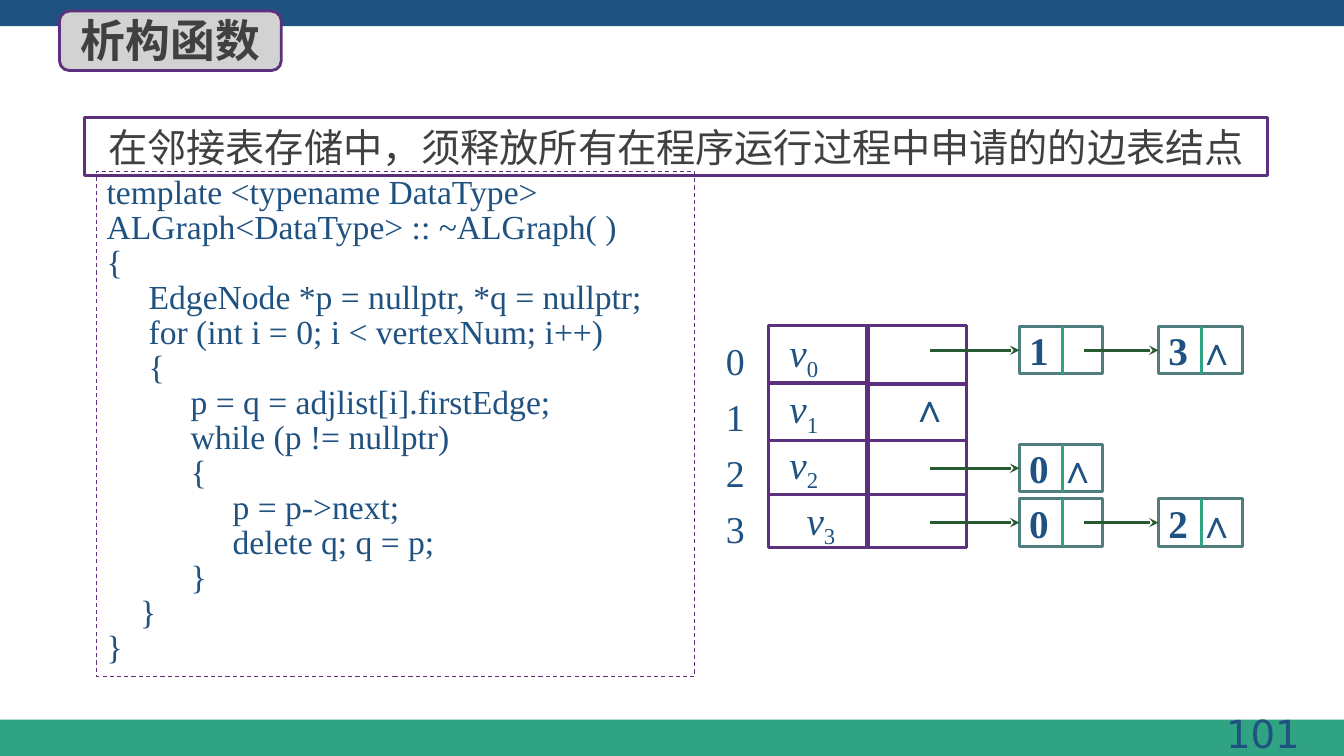
from dataclasses import dataclass

from lxml.etree import SubElement
from pptx import Presentation
from pptx.dml.color import RGBColor
from pptx.enum.dml import MSO_LINE
from pptx.enum.shapes import MSO_CONNECTOR, MSO_SHAPE
from pptx.enum.text import MSO_ANCHOR, MSO_AUTO_SIZE, PP_ALIGN
from pptx.oxml.ns import qn
from pptx.util import Inches, Pt


@dataclass(frozen=True)
class Theme:
    blue: RGBColor = RGBColor.from_string("1F5281")
    green: RGBColor = RGBColor.from_string("30A383")
    purple: RGBColor = RGBColor.from_string("5C307D")
    gray: RGBColor = RGBColor.from_string("D2D2D2")
    dark: RGBColor = RGBColor.from_string("404040")
    teal: RGBColor = RGBColor.from_string("507D7D")
    arrow: RGBColor = RGBColor.from_string("285A32")
    chinese: str = "Noto Sans CJK SC"
    serif: str = "Times New Roman"
    number: str = "DejaVu Sans"
    title_size: float = 32
    body_size: float = 28
    number_size: float = 27.6
    index_size: float = 27
    code_size: float = 24
    rule: float = 2.25


theme = Theme()
presentation = Presentation()
presentation.slide_width = Inches(13.33)
presentation.slide_height = Inches(7.5)
slide = presentation.slides.add_slide(presentation.slide_layouts[5])


def add_box(left, top, width, height, text="", size=theme.body_size, font=theme.serif,
            color=theme.blue, bold=False, align=PP_ALIGN.LEFT, anchor=MSO_ANCHOR.TOP,
            spacing=None, insets=(0.1, 0.05, 0.1, 0.05), fill=None, outline=None,
            outline_width=theme.rule, kind=MSO_SHAPE.RECTANGLE):
    bounds = [Inches(length) for length in (left, top, width, height)]
    if fill or outline:
        box = slide.shapes.add_shape(kind, *bounds)
        box.shadow.inherit = False
    else:
        box = slide.shapes.add_textbox(*bounds)
    if fill:
        box.fill.solid()
        box.fill.fore_color.rgb = fill
    else:
        box.fill.background()
    if outline:
        box.line.color.rgb = outline
        box.line.width = Pt(outline_width)
    else:
        box.line.fill.background()
    if text:
        frame = box.text_frame
        frame.text = text
        frame.word_wrap = True
        frame.vertical_anchor = anchor
        frame.margin_left, frame.margin_top, frame.margin_right, frame.margin_bottom = map(Inches, insets)
        for paragraph in frame.paragraphs:
            paragraph.alignment = align
            paragraph.line_spacing = spacing
            for run in paragraph.runs:
                run.font.size = Pt(size)
                run.font.name = font
                run.font.bold = bold
                run.font.color.rgb = color
    return box


def add_line(start_x, start_y, end_x, end_y, color, arrow=False):
    line = slide.shapes.add_connector(
        MSO_CONNECTOR.STRAIGHT, Inches(start_x), Inches(start_y), Inches(end_x), Inches(end_y))
    line.line.color.rgb = color
    line.line.width = Pt(theme.rule)
    properties = line.element.spPr
    if arrow:
        SubElement(properties.find(qn("a:ln")), qn("a:tailEnd"), type="stealth")
    SubElement(properties, qn("a:effectLst"))
    return line


add_box(0, 7.14, 13.33, 0.36, fill=theme.green)
add_box(0, 0, 13.33, 0.26, fill=theme.blue)
add_box(10.05, 6.99, 2.94, 0.57, "101", size=theme.number_size, font=theme.number,
        align=PP_ALIGN.RIGHT)

title_badge = add_box(0.59, 0.11, 2.2, 0.59, fill=theme.gray, outline=theme.purple,
                      outline_width=2, kind=MSO_SHAPE.ROUNDED_RECTANGLE)
title = slide.shapes.title
title_badge.element.addnext(title.element)
title.left, title.top, title.width, title.height = map(Inches, (0.7, 0.07, 2.29, 0.64))
title.text_frame.text = "析构函数"
title.text_frame.auto_size = MSO_AUTO_SIZE.NONE
title.text_frame.vertical_anchor = MSO_ANCHOR.MIDDLE
title_paragraph = title.text_frame.paragraphs[0]
title_paragraph.alignment = PP_ALIGN.LEFT
title_font = title_paragraph.runs[0].font
title_font.size = Pt(theme.title_size)
title_font.name = theme.chinese
title_font.bold = True
title_font.color.rgb = theme.dark

add_box(0.84, 1.17, 11.73, 0.57, "在邻接表存储中，须释放所有在程序运行过程中申请的的边表结点",
        font=theme.chinese, color=theme.dark, align=PP_ALIGN.CENTER,
        anchor=MSO_ANCHOR.MIDDLE, outline=theme.purple)

add_box(7.2, 3.25, 0.43, 1.96, "0\n1\n2\n3", size=theme.index_size, spacing=Pt(40),
        insets=(0, 0, 0, 0))
vertex_column = add_box(7.62, 3.23, 0.98, 2.2, "v\nv\nv\nv", spacing=Pt(40),
                        insets=(0.21, 0, 0, 0), outline=theme.purple)
for number, paragraph in enumerate(vertex_column.text_frame.paragraphs):
    paragraph.runs[0].font.italic = True
    subscript = paragraph.add_run()
    subscript.text = str(number)
    subscript.font.size = Pt(theme.body_size)
    subscript.font.name = theme.serif
    subscript.font.color.rgb = theme.blue
for paragraph_element in vertex_column.element.iter(qn("a:p")):
    paragraph_element.findall(qn("a:r"))[1].find(qn("a:rPr")).set("baseline", "-25000")
paragraph_element.get_or_add_pPr().set("marL", str(Inches(0.17)))

add_box(8.61, 3.23, 0.98, 2.2, outline=theme.purple)
for column_left, first_row in ((7.62, 3.8), (8.61, 3.81)):
    for row_top in (first_row, 4.37, 4.91):
        add_line(column_left, row_top, column_left + 0.98, row_top, theme.purple)
add_box(8.93, 3.86, 0.57, 0.42, "∧", bold=True, spacing=0.9, insets=(0.1, 0, 0.1, 0))

node_height = 0.47
edge_lists = [(3.24, ["1", "3 ∧"]), (4.41, ["0 ∧"]), (4.95, ["0", "2 ∧"])]
for node_top, labels in edge_lists:
    middle = node_top + node_height / 2
    for label, node_left, arrow_start in zip(labels, (10.11, 11.49), (9.22, 10.75)):
        node = add_box(node_left, node_top, 0.83, node_height, label, bold=True,
                       insets=(0.1, 0, 0, 0), outline=theme.teal)
        add_line(node_left + 0.43, node_top, node_left + 0.43, node_top + node_height, theme.green)
        add_line(arrow_start, middle, node_left, middle, theme.arrow, arrow=True).end_connect(node, 1)

destructor_code = """template <typename DataType>
ALGraph<DataType> :: ~ALGraph( )
{
     EdgeNode *p = nullptr, *q = nullptr;
     for (int i = 0; i < vertexNum; i++)
     {
          p = q = adjlist[i].firstEdge;
          while (p != nullptr)
          {
               p = p->next;
               delete q; q = p;
          }
    }
}"""
code_box = add_box(0.96, 1.7, 5.93, 5.01, destructor_code, size=theme.code_size,
                   spacing=Pt(25), outline=theme.purple, outline_width=0.75)
code_box.line.dash_style = MSO_LINE.DASH

for latin in list(slide.element.iter(qn("a:latin"))):
    if latin.get("typeface") == theme.chinese:
        SubElement(latin.getparent(), qn("a:ea"), typeface=theme.chinese)

presentation.save("out.pptx")
